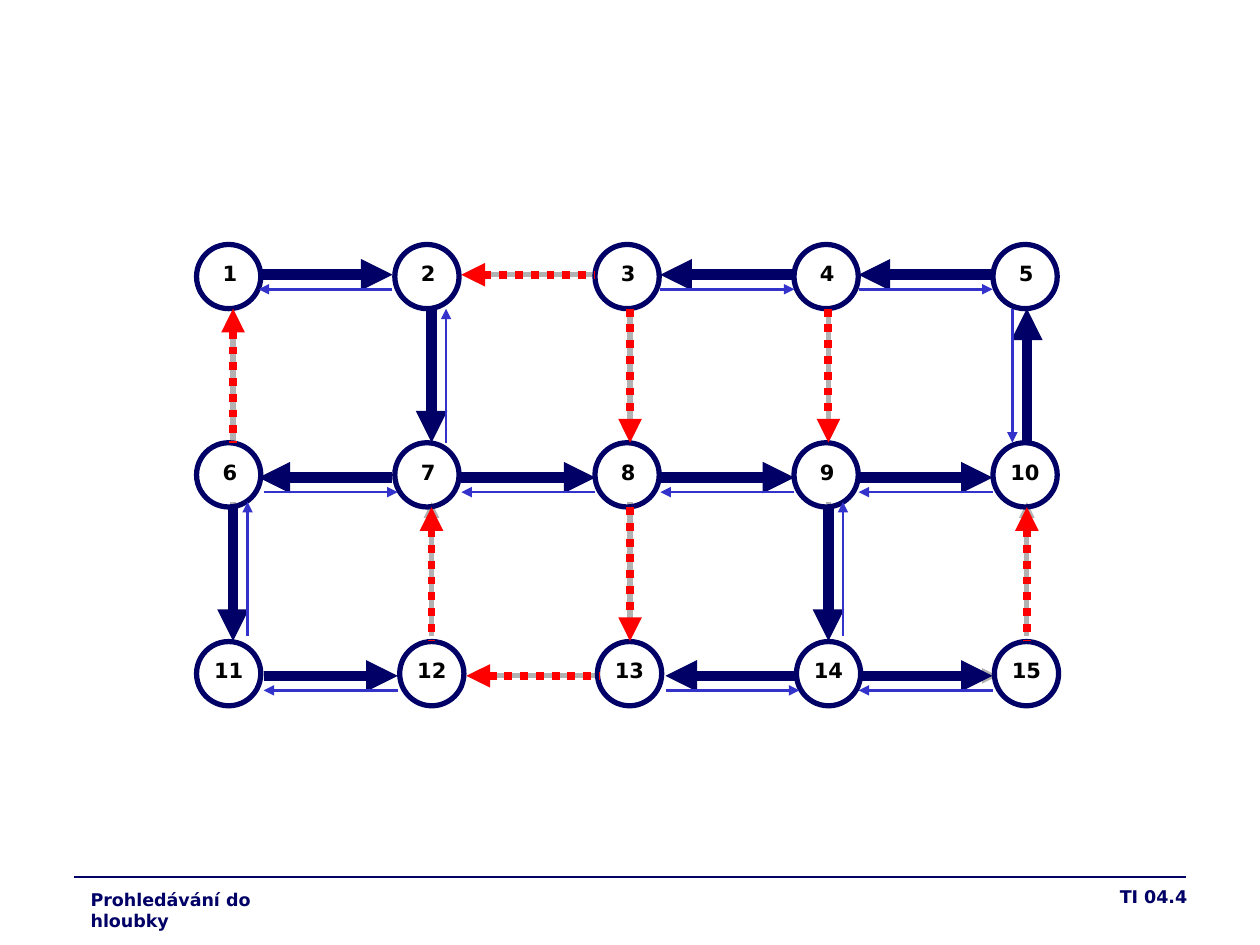
from dataclasses import dataclass

from lxml import etree
from pptx import Presentation
from pptx.dml.color import RGBColor
from pptx.enum.dml import MSO_LINE
from pptx.enum.shapes import MSO_CONNECTOR, MSO_SHAPE
from pptx.enum.text import PP_ALIGN
from pptx.oxml.ns import qn
from pptx.util import Pt

STRAIGHT = MSO_CONNECTOR.STRAIGHT
OVAL = MSO_SHAPE.OVAL
DOTS = MSO_LINE.ROUND_DOT  # written to the file as sysDot
LEFT, MID, RIGHT = PP_ALIGN.LEFT, PP_ALIGN.CENTER, PP_ALIGN.RIGHT


@dataclass(frozen=True)
class Theme:
    font: str = "DejaVu Sans"
    navy: str = "000066"
    blue: str = "3333CC"
    red: str = "FF0000"
    gray: str = "B2B2B2"
    black: str = "000000"
    label: float = 12
    small: float = 10
    thin: float = 0.75
    back: float = 1.5
    base: float = 3
    cross: float = 4.5
    tree: float = 6


THEME = Theme()

COLS = 5
STEP = 113.4
SIZE = 36.7   # node diameter
SPAN = 76.5   # edge length
SIDE = 8.3    # distance of a return arrow from its tree edge
NUDGE = 2.9

NODE_X = ([0, 113.3, 227.7, 341.4, 455.1],
          [0, 113.3, 227.7, 341.4, 455.1],
          [0, 116.1, 229.1, 342.8, 455.9])
NODE_Y = [0, 113.3, 226.9]
GAP_X = [35.5, 151.4, 265.1, 378.4]
EDGE_Y = [17.3, 133.2, 246.5]

TREE = [(1, 2), (2, 7), (7, 6), (6, 11), (11, 12), (7, 8), (8, 9),
        (9, 10), (10, 5), (5, 4), (4, 3), (9, 14), (14, 13), (14, 15)]
CROSS = [(3, 2), (6, 1), (3, 8), (4, 9), (12, 7), (8, 13), (13, 12), (15, 10)]

# Left ends of the level edges that sit slightly to the right, per layer
MOVED = {"base": {11, 12, 13, 14}, "main": {11, 12, 13}, "back": {6, 11, 13}}


def add_line(slide, x1, y1, x2, y2, color, width):
    line = slide.shapes.add_connector(STRAIGHT, Pt(x1), Pt(y1), Pt(x2), Pt(y2))
    line.line.color.rgb = RGBColor.from_string(color)
    line.line.width = Pt(width)
    etree.SubElement(line._element.spPr, qn("a:effectLst"))
    return line


def add_text(slide, box, text, size, color, align):
    shape = slide.shapes.add_textbox(*map(Pt, box))
    frame = shape.text_frame
    frame.word_wrap = True
    frame.text = text
    para = frame.paragraphs[0]
    para.alignment = align
    font = para.runs[0].font
    font.name, font.size, font.bold = THEME.font, Pt(size), True
    font.color.rgb = RGBColor.from_string(color)


def edge_ends(low, high, layer):
    """Return the end points of an edge, relative to the graph."""
    row, col = divmod(low - 1, COLS)
    if high - low == 1:
        x = GAP_X[col] + (NUDGE if low in MOVED[layer] else 0)
        y = EDGE_Y[row] + (SIDE if layer == "back" else 0)
        return x, y, x + SPAN, y
    x = 20.9 + col * STEP
    y = 36.7 + row * (STEP if layer == "main" else STEP - NUDGE)
    if layer == "back":
        x += -SIDE if col == COLS - 1 else SIDE
    return x, y, x, y + SPAN


def add_edge(slide, box, start, end, layer, color, width, dash=None):
    left, top = box[:2]
    x1, y1, x2, y2 = edge_ends(min(start, end), max(start, end), layer)
    line = add_line(slide, left + x1, top + y1, left + x2, top + y2,
                    color, width)
    if dash:
        line.line.dash_style = dash
    tip = "a:tailEnd" if start < end else "a:headEnd"
    pen = line.line._get_or_add_ln()
    etree.SubElement(pen, qn(tip), type="triangle")


def add_node(slide, box, num):
    row, col = divmod(num - 1, COLS)
    x, y = box[0] + NODE_X[row][col], box[1] + NODE_Y[row]
    ring = slide.shapes.add_shape(OVAL, Pt(x), Pt(y), Pt(SIZE), Pt(SIZE))
    ring.shadow.inherit = False
    ring.fill.background()
    ring.line.color.rgb = RGBColor.from_string(THEME.navy)
    ring.line.width = Pt(THEME.base)
    wide = 24.5 if num < 10 else 45.4
    mid = x + SIZE / 2 + (0.7 if num < 10 else 0)
    add_text(slide, (mid - wide / 2, y + 5.8, wide, 21.6), str(num),
             THEME.label, THEME.black, MID)


def add_graph(slide, box):
    for start, end in TREE + CROSS:
        add_edge(slide, box, start, end, "base", THEME.gray, THEME.base)
    for num in range(1, 3 * COLS + 1):
        add_node(slide, box, num)
    for start, end in TREE:
        add_edge(slide, box, start, end, "main", THEME.navy, THEME.tree)
    for start, end in CROSS:
        add_edge(slide, box, start, end, "main", THEME.red, THEME.cross, DOTS)
    for start, end in TREE:
        add_edge(slide, box, end, start, "back", THEME.blue, THEME.back)


def add_footer(slide, box):
    left, top, width = box[:3]
    add_line(slide, left, top, left + width, top, THEME.navy, THEME.thin)
    add_text(slide, (left + 2.2, top + 3.6, 138.2, 19.4),
             "Prohledávání do hloubky", THEME.small, THEME.navy, LEFT)
    add_text(slide, (left + width - 141.8, top + 1.4, 149.8, 25.9),
             "TI 04.4", THEME.small, THEME.navy, RIGHT)


def main():
    deck = Presentation()
    deck.slide_width, deck.slide_height = Pt(720), Pt(540)
    slide = deck.slides.add_slide(deck.slide_layouts[6])
    add_graph(slide, (112.3, 139.7, 492.6, 263.6))
    add_footer(slide, (42.5, 501.1, 635, 30))
    deck.save("out.pptx")


if __name__ == "__main__":
    main()
